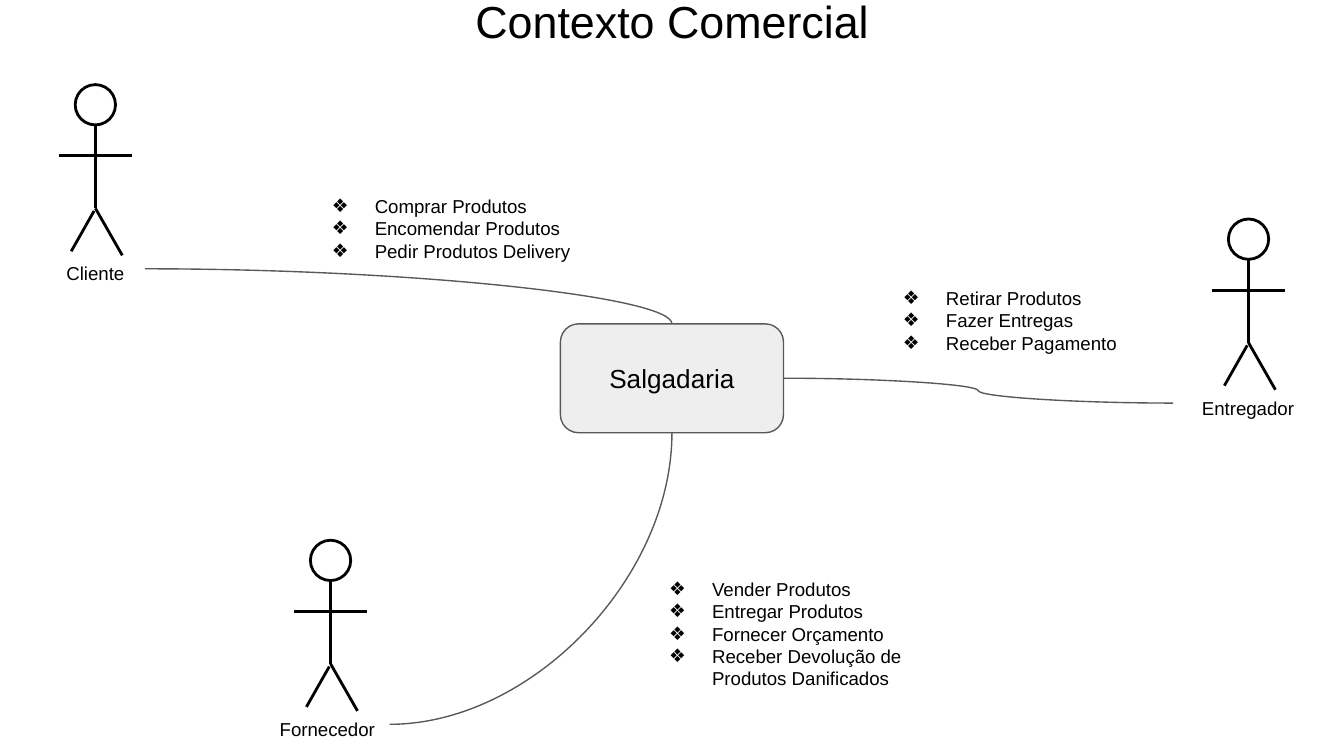
from pptx import Presentation
from pptx.dml.color import RGBColor as Rgb
from pptx.enum.shapes import MSO_CONNECTOR as Conn, MSO_SHAPE as Shape
from pptx.enum.text import MSO_ANCHOR as Anchor, MSO_AUTO_SIZE as Fit, PP_ALIGN as Align
from pptx.oxml.ns import qn
from pptx.util import Inches, Pt
from lxml.etree import SubElement

COLORS = {"ink": "000000", "gray": "595959", "fill": "EEEEEE", "white": "FFFFFF"}
TOP, LEFT, BOTTOM, RIGHT = range(4)
LIMBS = [
    (0, 0.3, 0, 0.92),
    (-0.01, 0.94, -0.18, 1.24),
    (0, 0.92, 0.2, 1.27),
    (-0.27, 0.53, 0.27, 0.53),
]
ACTORS = [
    ("Cliente", 0.71, 0.63, 0.34, 0.74),
    ("Fornecedor", 2.46, 4.02, 1.97, 0.93),
    ("Entregador", 9.29, 1.63, 8.73, 1.11),
]
TASKS = [
    ((2.19, 1.35, 2.51, 0.77), Anchor.TOP,
     ["Comprar Produtos", "Encomendar Produtos", "Pedir Produtos Delivery"]),
    ((6.44, 1.63, 2.42, 1.51), Anchor.MIDDLE,
     ["Retirar Produtos", "Fazer Entregas", "Receber Pagamento"]),
    ((4.7, 3.96, 2.42, 1.51), Anchor.MIDDLE,
     ["Vender Produtos", "Entregar Produtos", "Fornecer Orçamento",
      "Receber Devolução de Produtos Danificados"]),
]
LINKS = [
    ("Entregador", LEFT, RIGHT, "curvedConnector3"),
    ("Fornecedor", RIGHT, BOTTOM, "curvedConnector2"),
    ("Cliente", RIGHT, TOP, "curvedConnector2"),
]


def color(name):
    return Rgb.from_string(COLORS[name])


def add_bullet(para):
    props = para._p.get_or_add_pPr()
    props.set("marL", str(Inches(0.5)))
    props.set("indent", str(Inches(-0.32)))
    tint = SubElement(props, qn("a:buClr"))
    SubElement(tint, qn("a:srgbClr"), val=COLORS["ink"])
    SubElement(props, qn("a:buFont"), typeface="Arial")
    SubElement(props, qn("a:buChar"), char="❖")


def put_text(shape, *lines, size=10, align=Align.CENTER, anchor=Anchor.TOP, bullet=False):
    frame = shape.text_frame
    frame.word_wrap = True
    frame.auto_size = Fit.NONE
    frame.vertical_anchor = anchor
    frame.margin_left = frame.margin_right = Inches(0.1)
    frame.margin_top = frame.margin_bottom = Inches(0.1)
    for i, line in enumerate(lines):
        para = frame.paragraphs[0] if i == 0 else frame.add_paragraph()
        para.alignment = align
        if bullet:
            add_bullet(para)
        run = para.add_run()
        run.text = line
        run.font.name = "Arial"
        run.font.size = Pt(size)
        run.font.color.rgb = color("ink")


def add_box(slide, kind, area, fill, line, width):
    box = slide.shapes.add_shape(kind, *map(Inches, area))
    box.shadow.inherit = False
    box.fill.solid()
    box.fill.fore_color.rgb = color(fill)
    box.line.color.rgb = color(line)
    box.line.width = Pt(width)
    return box


def add_line(slide, kind, ends, tint, width):
    line = slide.shapes.add_connector(kind, *map(Inches, ends))
    line.line.color.rgb = color(tint)
    line.line.width = Pt(width)
    SubElement(line._element.spPr, qn("a:effectLst"))
    return line


def add_actor(slide, name, x, y, left, width):
    add_box(slide, Shape.OVAL, (x - 0.15, y, 0.3, 0.3), "white", "ink", 1.5)
    for x1, y1, x2, y2 in LIMBS:
        add_line(slide, Conn.STRAIGHT, (x + x1, y + y1, x + x2, y + y2), "ink", 1.5)
    label = slide.shapes.add_textbox(*map(Inches, (left, y + 1.22, width, 0.3)))
    put_text(label, name)
    return label


def add_link(slide, label, start, box, end, preset):
    link = add_line(slide, Conn.CURVE, (0, 0, 1, 1), "gray", 0.75)
    link.begin_connect(label, start)
    link.end_connect(box, end)
    link._element.spPr.find(qn("a:prstGeom")).set("prst", preset)


def main():
    deck = Presentation()
    deck.slide_width = Inches(10)
    deck.slide_height = deck.slide_width * 9 // 16
    slide = deck.slides.add_slide(deck.slide_layouts[5])

    title = slide.shapes.title
    title.left, title.top, title.width, title.height = map(Inches, (0.34, -0.15, 9.32, 0.41))
    put_text(title, "Contexto Comercial", size=24)

    shop = add_box(slide, Shape.ROUNDED_RECTANGLE, (4.17, 2.41, 1.66, 0.81), "fill", "gray", 0.75)
    put_text(shop, "Salgadaria", size=14, anchor=Anchor.MIDDLE)

    labels = {actor[0]: add_actor(slide, *actor) for actor in ACTORS}
    for name, start, end, preset in LINKS:
        add_link(slide, labels[name], start, shop, end, preset)

    for area, anchor, lines in TASKS:
        box = slide.shapes.add_textbox(*map(Inches, area))
        put_text(box, *lines, align=Align.LEFT, anchor=anchor, bullet=True)

    deck.save("out.pptx")


if __name__ == "__main__":
    main()
